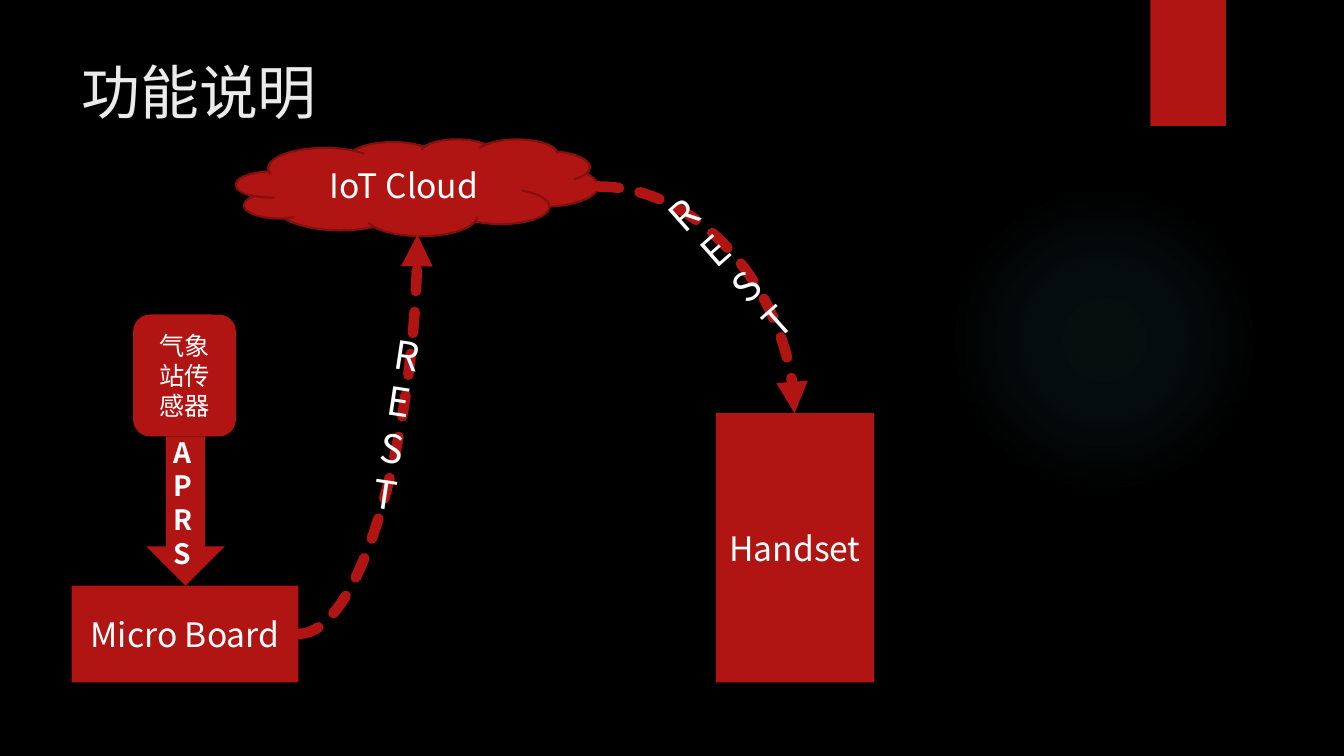
"""Build a dark slide showing how weather data travels from sensor to phone."""
from lxml.etree import SubElement
from pptx import Presentation
from pptx.dml.color import RGBColor
from pptx.enum.dml import MSO_LINE
from pptx.enum.shapes import MSO_CONNECTOR as LINK, MSO_SHAPE as SHAPE
from pptx.enum.text import MSO_ANCHOR as ANCHOR, MSO_AUTO_SIZE as FIT, PP_ALIGN as ALIGN
from pptx.oxml import parse_xml
from pptx.oxml.ns import nsdecls, qn
from pptx.util import Inches, Pt

FONT = "Noto Sans CJK SC"
RED, DARK_RED, WHITE, PALE, GLOW = "B01513", "82100E", "FFFFFF", "EBEBEB", "50B9C1"


def color(code):
    return RGBColor.from_string(code)


def write(box, text, size, code=WHITE, bold=False):
    frame = box.text_frame
    frame.word_wrap = True
    frame.text = text
    para = frame.paragraphs[0]
    span = para.runs[0]
    span.font.name = FONT
    span.font.size = Pt(size)
    span.font.bold = bold
    span.font.color.rgb = color(code)
    SubElement(span.font._element, qn("a:ea")).set("typeface", FONT)
    return para


deck = Presentation()
deck.slide_width, deck.slide_height = Inches(13.33), Inches(7.5)
page = deck.slides.add_slide(deck.slide_layouts[6])
page.background.fill.solid()
page.background.fill.fore_color.rgb = color("000000")

glow = page.shapes.add_shape(SHAPE.OVAL, Inches(9.41), Inches(1.83), Inches(3.08), Inches(3.08))
glow.shadow.inherit = False
glow.line.fill.background()
stops = "".join(
    f'<a:gs pos="{place * 1000}"><a:srgbClr val="{GLOW}"><a:alpha val="{alpha * 1000}"/></a:srgbClr></a:gs>'
    for place, alpha in [(0, 7), (36, 6), (69, 0)]
)
gradient = parse_xml(
    f'<a:gradFill {nsdecls("a")}><a:gsLst>{stops}</a:gsLst><a:path path="circle">'
    '<a:fillToRect l="50000" t="50000" r="50000" b="50000"/></a:path></a:gradFill>'
)
glow._element.spPr.find(qn("a:prstGeom")).addnext(gradient)

title = page.shapes.add_textbox(Inches(0.71), Inches(0.5), Inches(10.29), Inches(1.53))
write(title, "功能说明", 42, PALE)

blocks = [
    (SHAPE.RECTANGLE, 11.41, 0, 0.75, 1.25, "", 0),
    (SHAPE.RECTANGLE, 0.71, 5.81, 2.25, 0.96, "Micro Board", 24),
    (SHAPE.ROUNDED_RECTANGLE, 1.32, 3.12, 1.02, 1.21, "气象站传感器", 18),
    (SHAPE.DOWN_ARROW, 1.45, 4.33, 0.78, 1.48, "", 0),
    (SHAPE.CLOUD, 2.34, 1.38, 3.59, 0.96, "IoT Cloud", 24),
    (SHAPE.RECTANGLE, 7.1, 4.1, 1.57, 2.67, "Handset", 24),
]
for kind, left, top, width, height, text, size in blocks:
    block = page.shapes.add_shape(kind, Inches(left), Inches(top), Inches(width), Inches(height))
    block.shadow.inherit = False
    block.fill.solid()
    block.fill.fore_color.rgb = color(RED)
    if kind == SHAPE.CLOUD:
        block.line.color.rgb = color(DARK_RED)
        block.line.width = Pt(1.5)
    else:
        block.line.fill.background()
    if text:
        write(block, text, size).alignment = ALIGN.CENTER
        block.text_frame.vertical_anchor = ANCHOR.MIDDLE

for x1, y1, x2, y2 in [(2.96, 6.29, 4.14, 2.33), (5.93, 1.85, 7.88, 4.1)]:
    curve = page.shapes.add_connector(LINK.CURVE, Inches(x1), Inches(y1), Inches(x2), Inches(y2))
    curve.line.color.rgb = color(RED)
    curve.line.width = Pt(7.5)
    curve.line.dash_style = MSO_LINE.SQUARE_DOT
    properties = curve._element.spPr
    properties.find(qn("a:prstGeom")).set("prst", "curvedConnector2")
    outline = properties.find(qn("a:ln"))
    outline.set("cap", "rnd")
    SubElement(outline, qn("a:tailEnd")).set("type", "triangle")
    SubElement(properties, qn("a:effectLst"))

labels = [
    ("APRS", 1.62, 4.27, 0.45, 1.23, 0, 20, True),
    ("REST", 3.73, 3.22, 0.31, 1.69, 8.6, 28, False),
    ("REST", 6.95, 1.75, 0.31, 1.69, 318.5, 28, False),
]
for text, left, top, width, height, angle, size, bold in labels:
    label = page.shapes.add_textbox(Inches(left), Inches(top), Inches(width), Inches(height))
    label.rotation = angle
    write(label, text, size, bold=bold)
    label.text_frame.auto_size = FIT.SHAPE_TO_FIT_TEXT

deck.save("out.pptx")
